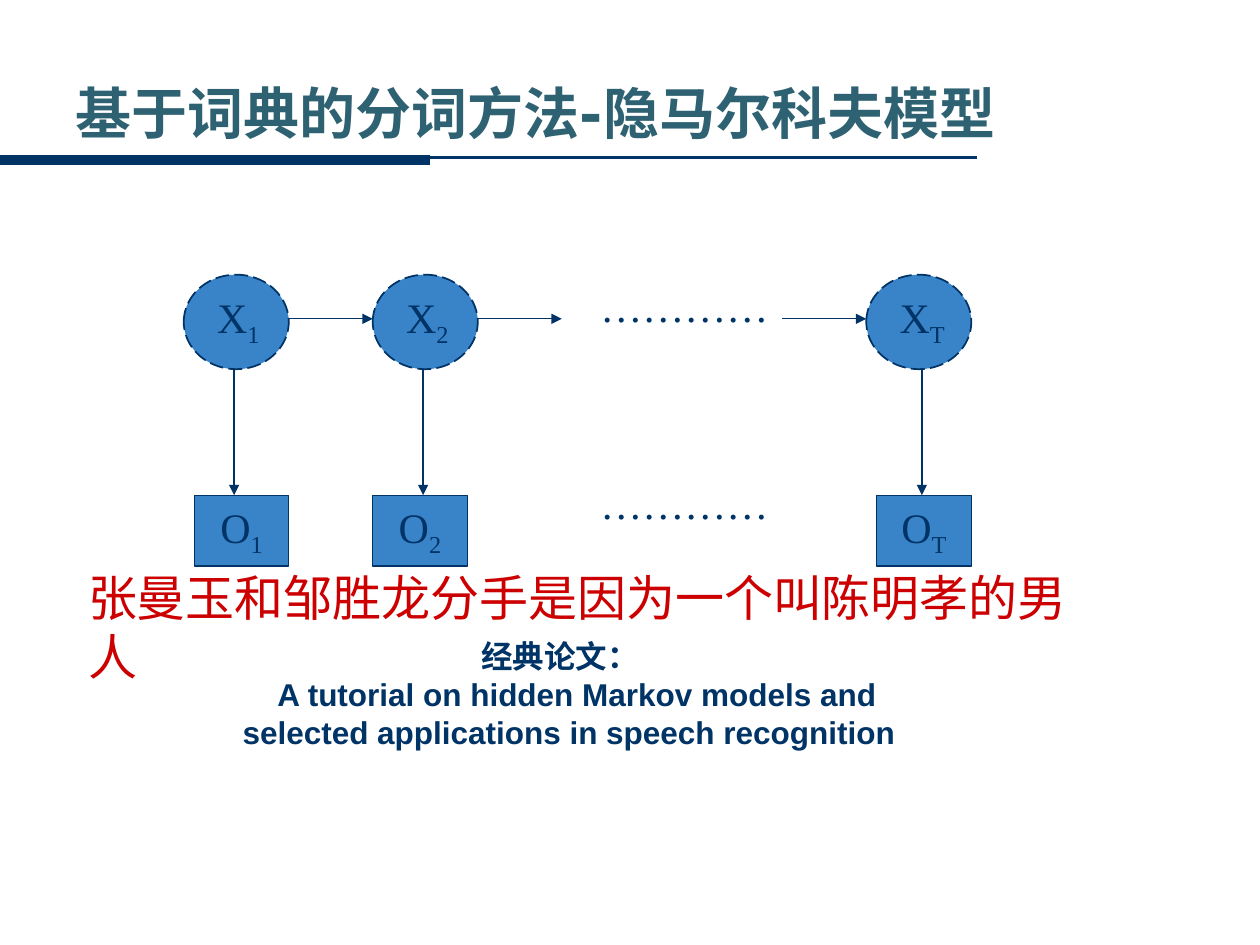
from dataclasses import dataclass
from typing import Optional

from lxml import etree
from pptx import Presentation, util as u
from pptx.dml.color import RGBColor
from pptx.enum import dml, shapes, text
from pptx.oxml.ns import qn

COLOURS = {"navy": "003366", "node": "3984C9", "title": "2E6272", "example": "CC0000"}
COLUMNS, ROWS = 120, 90
SERIF, SANS = "Times New Roman", "Arial"

deck = Presentation()
deck.slide_width, deck.slide_height = u.Inches(10), u.Inches(7.5)
slide = deck.slides.add_slide(deck.slide_layouts[6])


@dataclass
class Area:
    """A block of grid cells."""
    col: float
    row: float
    cols: float
    rows: float

    def emu(self) -> tuple:
        return col_x(self.col), row_y(self.row), col_x(self.cols), row_y(self.rows)


@dataclass
class Line:
    """One paragraph, with an optional subscript."""
    words: str
    sub: str = ""
    indent: float = 0


@dataclass
class Step:
    """One time step: hidden state above, observation below."""
    index: str
    state_col: float
    output_col: float
    down_col: float


def col_x(cols: float) -> int:
    return int(deck.slide_width * cols / COLUMNS)


def row_y(rows: float) -> int:
    return int(deck.slide_height * rows / ROWS)


def rgb(name: str) -> RGBColor:
    return RGBColor.from_string(COLOURS[name])


def write(frame, lines: list, size: float, font: str, colour: str = "navy",
          bold: bool = False, align=text.PP_ALIGN.LEFT,
          anchor=text.MSO_ANCHOR.TOP, wrap: bool = True) -> None:
    frame.word_wrap, frame.vertical_anchor = wrap, anchor
    formats = {"size": u.Pt(size), "name": font, "bold": bold}
    for number, line in enumerate(lines):
        paragraph = frame.add_paragraph() if number else frame.paragraphs[0]
        paragraph.alignment = align
        if line.indent:
            paragraph._p.get_or_add_pPr().set("marL", str(col_x(line.indent)))
        for part in filter(None, (line.words, line.sub)):
            run = paragraph.add_run()
            run.text = part
            for attribute, value in formats.items():
                setattr(run.font, attribute, value)
            run.font.color.rgb = rgb(colour)
            if part is line.sub:
                run.font._element.set("baseline", "-25000")


def label(area: Area, lines: list, size: float, font: str, **style) -> None:
    write(slide.shapes.add_textbox(*area.emu()).text_frame, lines, size, font, **style)


def node(kind, area: Area, width: float, dash: Optional[dml.MSO_LINE] = None):
    shape = slide.shapes.add_shape(kind, *area.emu())
    shape.shadow.inherit = False
    shape.fill.solid()
    shape.fill.fore_color.rgb = rgb("node")
    shape.line.color.rgb = rgb("navy")
    shape.line.width = u.Pt(width)
    if dash:
        shape.line.dash_style = dash
    return shape


def rule(start: tuple, end: tuple, width: float = 0.75, arrow: bool = True) -> None:
    connector = slide.shapes.add_connector(
        shapes.MSO_CONNECTOR.STRAIGHT,
        col_x(start[0]), row_y(start[1]), col_x(end[0]), row_y(end[1]))
    connector.line.color.rgb = rgb("navy")
    connector.line.width = u.Pt(width)
    if arrow:
        etree.SubElement(connector.line._get_or_add_ln(), qn("a:tailEnd"), type="triangle")
    etree.SubElement(connector._element.spPr, qn("a:effectLst"))


# Title with its double rule
rule((93, 15), (0, 15), 1.5, arrow=False)
rule((0, 15.25), (41, 15.25), 6, arrow=False)
label(Area(6, 7, 101, 7.4), [Line("基于词典的分词方法-隐马尔科夫模型")], 32, "DejaVu Sans",
      colour="title", bold=True, anchor=text.MSO_ANCHOR.MIDDLE)

# Hidden states, each emitting an observation
STATE_ROW, STATE_COLS, STATE_ROWS = 26.16, 10, 9
OUTPUT_ROW, CHAIN_ROW, CHAIN_COLS = 47.16, 30.36, 8
steps = [
    Step("1", 17.5, 18.5, 22.3),
    Step("2", 35.5, 35.5, 40.3),
    Step("T", 82.5, 83.5, 87.8),
]
for step in steps:
    node(shapes.MSO_SHAPE.OVAL, Area(step.state_col, STATE_ROW, STATE_COLS, STATE_ROWS),
         1, dml.MSO_LINE.LONG_DASH)
    label(Area(step.state_col + 2, STATE_ROW + 1, 7, 6.75), [Line("X", step.index)], 24, SERIF)
    output = node(shapes.MSO_SHAPE.RECTANGLE, Area(step.output_col, OUTPUT_ROW, 9, 6.75), 0.75)
    write(output.text_frame, [Line("O", step.index)], 24, SERIF, align=text.PP_ALIGN.CENTER)
    rule((step.down_col, STATE_ROW + STATE_ROWS), (step.down_col, OUTPUT_ROW))

# Transitions between states
first, second, last = (step.state_col for step in steps)
for start in (first + STATE_COLS, second + STATE_COLS, last - CHAIN_COLS):
    rule((start, CHAIN_ROW), (start + CHAIN_COLS, CHAIN_ROW))

# Omitted steps
for dots_row in (STATE_ROW, 44.9):
    label(Area(56, dots_row, 21, 6), [Line("…………")], 24, SERIF)

# Classic paper and example sentence
label(Area(20.25, 60.1, 70, 12), [
    Line("经典论文：", indent=24.4),
    Line("A tutorial on hidden Markov models and", indent=5),
    Line("selected applications in speech recognition", indent=1.67),
], 18, SANS, bold=True)
label(Area(7.2, 53.5, 100.2, 6.8), [Line("张曼玉和邹胜龙分手是因为一个叫陈明孝的男人")], 28, SANS,
      colour="example", wrap=False)

deck.save("out.pptx")
